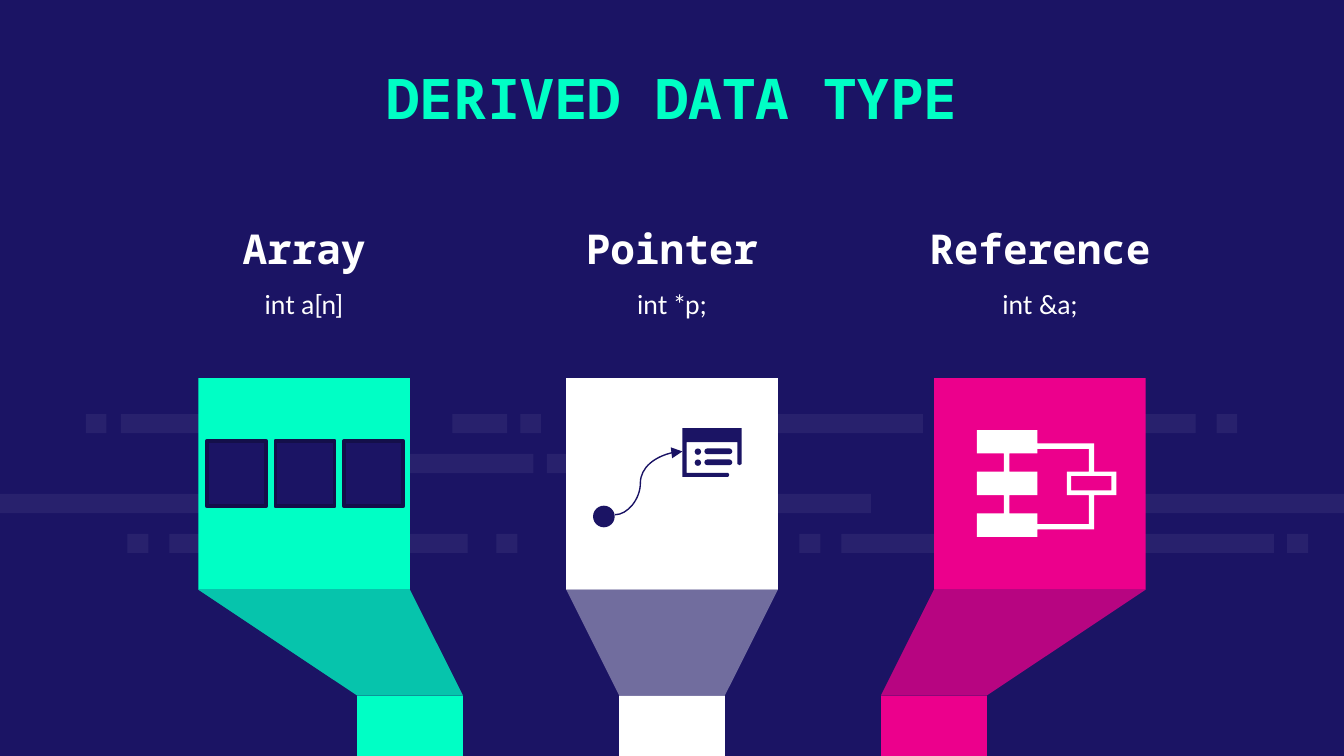
"""Build the slide on derived data types: array, pointer and reference."""
from dataclasses import dataclass

from lxml import etree
from pptx import Presentation
from pptx import util as u
from pptx.dml import color
from pptx.enum import shapes, text
from pptx.oxml import ns

NAVY, MINT, WHITE, PINK = "1B1464", "00FFC5", "FFFFFF", "EC008C"
MONO, SANS = "Noto Sans Mono", "Lato"
WIDTH, HEIGHT = 720, 405
RECT = shapes.MSO_SHAPE.RECTANGLE
ROUND = shapes.MSO_SHAPE.ROUNDED_RECTANGLE
OVAL = shapes.MSO_SHAPE.OVAL

COLUMN_STEP, FOOT_STEP = 197.1, 140.35
SIDE, FOOT_WIDTH = 113.4, 56.7
SQUARE_TOP, NECK_TOP, FOOT_TOP = 202.5, 315.9, 372.6

BAR_TOP, BAR_STEP, BAR_HEIGHT = 221.8, 21.4, 10.3
BAR_ROWS = [
    [(46, 11), (64.8, 105), (242.4, 29.3), (278.8, 11), (403.9, 90.5), (550, 90.5), (651.8, 11)],
    [(215.2, 70.6), (293, 28.8)],
    [(0, 106.6), (360, 106.6), (613.4, 106.6)],
    [(68.2, 11.3), (90.7, 159.8), (265.9, 11.3), (428.2, 11.3), (450.7, 231.8), (689.5, 11.3)],
]

WINDOW = [[(365.6, 229.4), (397.3, 229.4), (397.3, 248.6), (396.2, 249.2), (395.1, 248.6),
           (395.1, 236.8), (367.9, 236.8), (367.9, 253.3), (390.1, 253.3), (390.7, 254.4),
           (390.1, 255.5), (365.6, 255.5)]]
TREE = [
    [(595.4, 254.9), (595.4, 262.8), (573.8, 262.8), (573.8, 254.9)],
    [(583.4, 240.5), (583.4, 252.7), (571.6, 252.7), (571.6, 265.3), (583.4, 265.3),
     (583.4, 280.8), (555.8, 280.8), (555.8, 275), (540.7, 275), (540.7, 265.3),
     (555.8, 265.3), (555.8, 252.7), (540.7, 252.7), (540.7, 242.9), (555.8, 242.9),
     (555.8, 240.5)],
    [(523.3, 230.4), (523.3, 242.9), (537.8, 242.9), (537.8, 252.7), (523.3, 252.7),
     (523.3, 265.3), (537.8, 265.3), (537.8, 275), (523.3, 275), (523.3, 287.7),
     (555.8, 287.7), (555.8, 283.7), (586.1, 283.7), (586.1, 265.3), (598, 265.3),
     (598, 252.7), (586.1, 252.7), (586.1, 237.6), (555.8, 237.6), (555.8, 230.4)],
]


@dataclass
class Fill:
    """A colour with an opacity in percent."""
    hex: str
    opacity: int = 100


@dataclass
class Column:
    """One data type with its caption and its funnel."""
    heading: str
    example: str
    fill: str
    neck: list[Fill]


@dataclass
class Style:
    """The look of a line of text."""
    font: str
    size: float
    hex: str
    bold: bool = False


COLUMNS = [
    Column("Array", "int a[n]", MINT, [Fill(MINT), Fill(NAVY, 25)]),
    Column("Pointer", "int *p;", WHITE, [Fill(WHITE, 38)]),
    Column("Reference", "int &a;", PINK, [Fill(PINK), Fill(NAVY, 25)]),
]


def rgb(value: str) -> color.RGBColor:
    """Turn a hex string into a colour."""
    return color.RGBColor.from_string(value)


def paint(shape, fill: Fill) -> None:
    """Fill a shape and leave it without line or shadow."""
    shape.shadow.inherit = False
    shape.fill.solid()
    shape.fill.fore_color.rgb = rgb(fill.hex)
    shape.line.fill.background()
    if fill.opacity < 100:
        tint = shape.element.find(".//" + ns.qn("a:srgbClr"))
        etree.SubElement(tint, ns.qn("a:alpha"), val=str(fill.opacity * 1000))


def add_block(page, kind, left: float, top: float, width: float, height: float, fill: Fill):
    """Add a painted preset shape."""
    block = page.shapes.add_shape(kind, u.Pt(left), u.Pt(top), u.Pt(width), u.Pt(height))
    paint(block, fill)
    return block


def add_outline(page, contours: list, fill: Fill) -> None:
    """Add a painted freeform made of closed contours."""
    contours = [[(u.Pt(x), u.Pt(y)) for x, y in contour] for contour in contours]
    builder = page.shapes.build_freeform(*contours[0][0])
    for index, contour in enumerate(contours):
        if index:
            builder.move_to(*contour[0])
        builder.add_line_segments(contour[1:], close=True)
    paint(builder.convert_to_shape(), fill)


def write(box, words: str, style: Style, top: float = 7.2, bottom: float = 7.2,
          anchor=text.MSO_ANCHOR.TOP, spacing: float = 1.0) -> None:
    """Write one centred line into a text frame."""
    frame = box.text_frame
    frame.word_wrap = True
    frame.auto_size = text.MSO_AUTO_SIZE.NONE
    frame.vertical_anchor = anchor
    frame.margin_left = frame.margin_right = u.Pt(7.2)
    frame.margin_top, frame.margin_bottom = u.Pt(top), u.Pt(bottom)
    para = frame.paragraphs[0]
    para.alignment = text.PP_ALIGN.CENTER
    para.line_spacing = spacing
    span = para.add_run()
    span.text = words
    span.font.name, span.font.size = style.font, u.Pt(style.size)
    span.font.bold, span.font.color.rgb = style.bold, rgb(style.hex)


def add_caption(page, column: Column, center: float) -> None:
    """Add the heading and the example above a funnel."""
    width, height = 162.8, 33.8
    heading, example = (
        page.shapes.add_textbox(u.Pt(center - width / 2), u.Pt(top), u.Pt(width), u.Pt(height))
        for top in (112.4, 152))
    write(heading, column.heading, Style(MONO, 22, WHITE, True), bottom=0,
          anchor=text.MSO_ANCHOR.BOTTOM)
    write(example, column.example, Style(SANS, 14, WHITE), top=0, spacing=1.15)


def add_funnel(page, column: Column, center: float, foot_center: float) -> None:
    """Add the square, the slanted neck and the foot of a column."""
    left, foot_left = center - SIDE / 2, foot_center - FOOT_WIDTH / 2
    neck = [(left, NECK_TOP), (left + SIDE, NECK_TOP),
            (foot_left + FOOT_WIDTH, FOOT_TOP), (foot_left, FOOT_TOP)]
    for layer in column.neck:
        add_outline(page, [neck], layer)
    add_block(page, RECT, foot_left, FOOT_TOP, FOOT_WIDTH, HEIGHT - FOOT_TOP, Fill(column.fill))
    add_block(page, RECT, left, SQUARE_TOP, SIDE, SIDE, Fill(column.fill))


def add_array_icon(page) -> None:
    """Add three outlined cells in a row."""
    for index in range(3):
        cell = add_block(page, RECT, 110.9 + 36.7 * index, 236.2, 31.7, 35.1, Fill(NAVY))
        cell.line.color.rgb = rgb("140F4A")
        cell.line.width = u.Pt(2)


def add_pointer_icon(page) -> None:
    """Add a dot whose curved arrow points at a window with a list."""
    navy = Fill(NAVY)
    add_outline(page, WINDOW, navy)
    for top in (240.3, 246.2):
        add_block(page, OVAL, 372.2, top, 3.4, 3.4, navy)
        line = add_block(page, ROUND, 377.4, top, 14.9, 3, navy)
        line.adjustments[0] = 0.5
    add_block(page, OVAL, 317.7, 270.9, 11.6, 11.6, navy)
    arrow = page.shapes.add_connector(
        shapes.MSO_CONNECTOR.CURVE, u.Pt(329.5), u.Pt(275.8), u.Pt(365.6), u.Pt(241.9))
    arrow.line.color.rgb = rgb("191264")
    arrow.line.width = u.Pt(0.75)
    properties = arrow.element.spPr
    etree.SubElement(properties.find(ns.qn("a:ln")), ns.qn("a:tailEnd"), type="triangle")
    etree.SubElement(properties, ns.qn("a:effectLst"))
    guides = properties.find(".//" + ns.qn("a:avLst"))
    etree.SubElement(guides, ns.qn("a:gd"), name="adj1", fmla="val 37600")


def main() -> None:
    """Build and save the deck."""
    deck = Presentation()
    deck.slide_width, deck.slide_height = u.Pt(WIDTH), u.Pt(HEIGHT)
    page = deck.slides.add_slide(deck.slide_layouts.get_by_name("Title Only"))
    page.background.fill.solid()
    page.background.fill.fore_color.rgb = rgb(NAVY)
    title = page.shapes.title
    title.left, title.top, title.width, title.height = map(u.Pt, (100.8, 26.6, 518.4, 52.6))
    write(title, "DERIVED DATA TYPE", Style(MONO, 30, MINT, True))
    for row, bars in enumerate(BAR_ROWS):
        for left, width in bars:
            add_block(page, RECT, left, BAR_TOP + BAR_STEP * row, width, BAR_HEIGHT,
                      Fill(WHITE, 6))
    for offset, column in enumerate(COLUMNS, start=-1):
        center = WIDTH / 2 + COLUMN_STEP * offset
        add_caption(page, column, center)
        add_funnel(page, column, center, WIDTH / 2 + FOOT_STEP * offset)
    add_array_icon(page)
    add_pointer_icon(page)
    add_outline(page, TREE, Fill(WHITE))
    deck.save("out.pptx")


if __name__ == "__main__":
    main()
